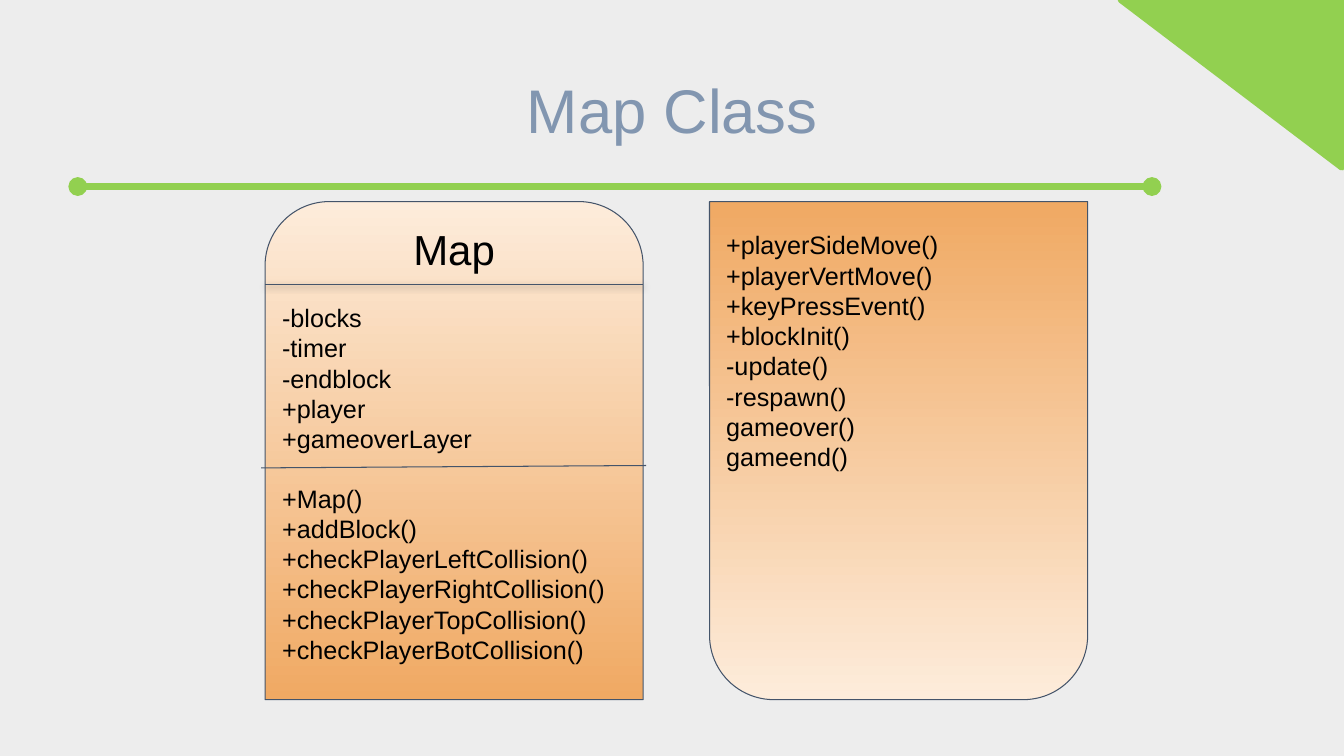
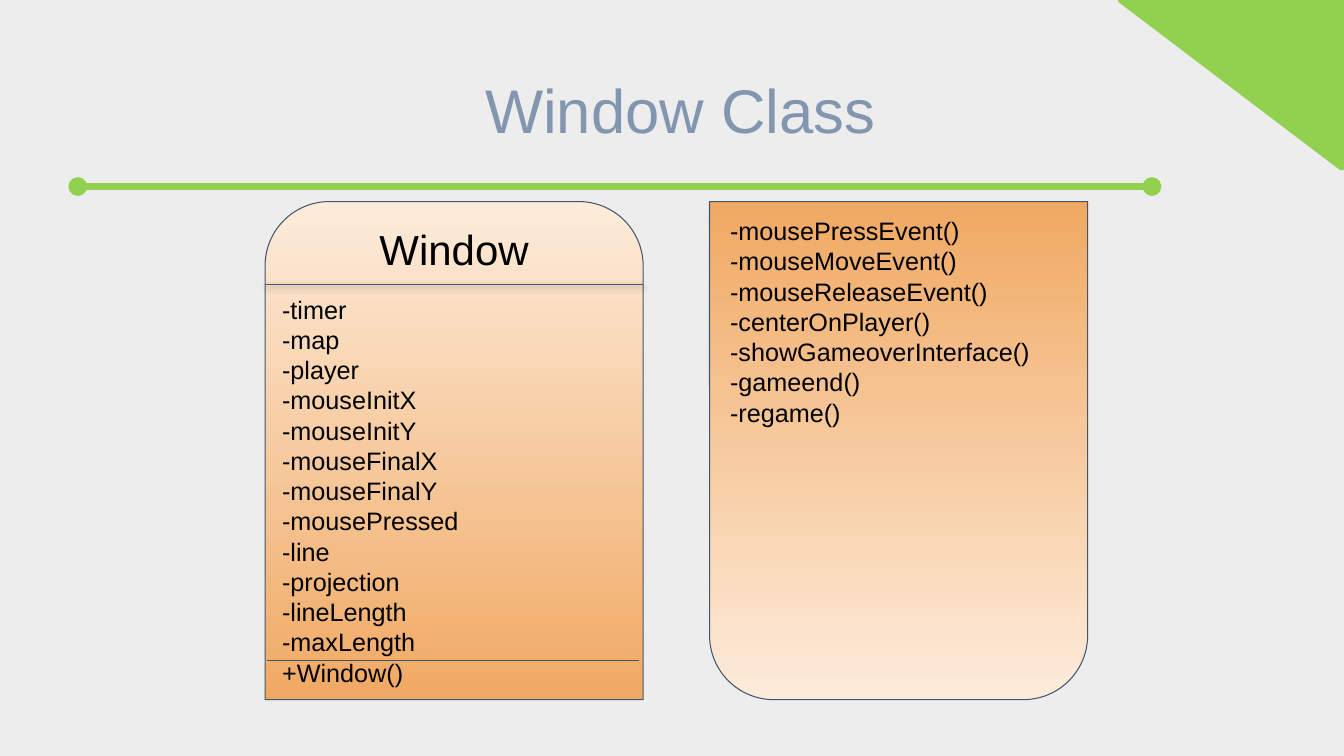
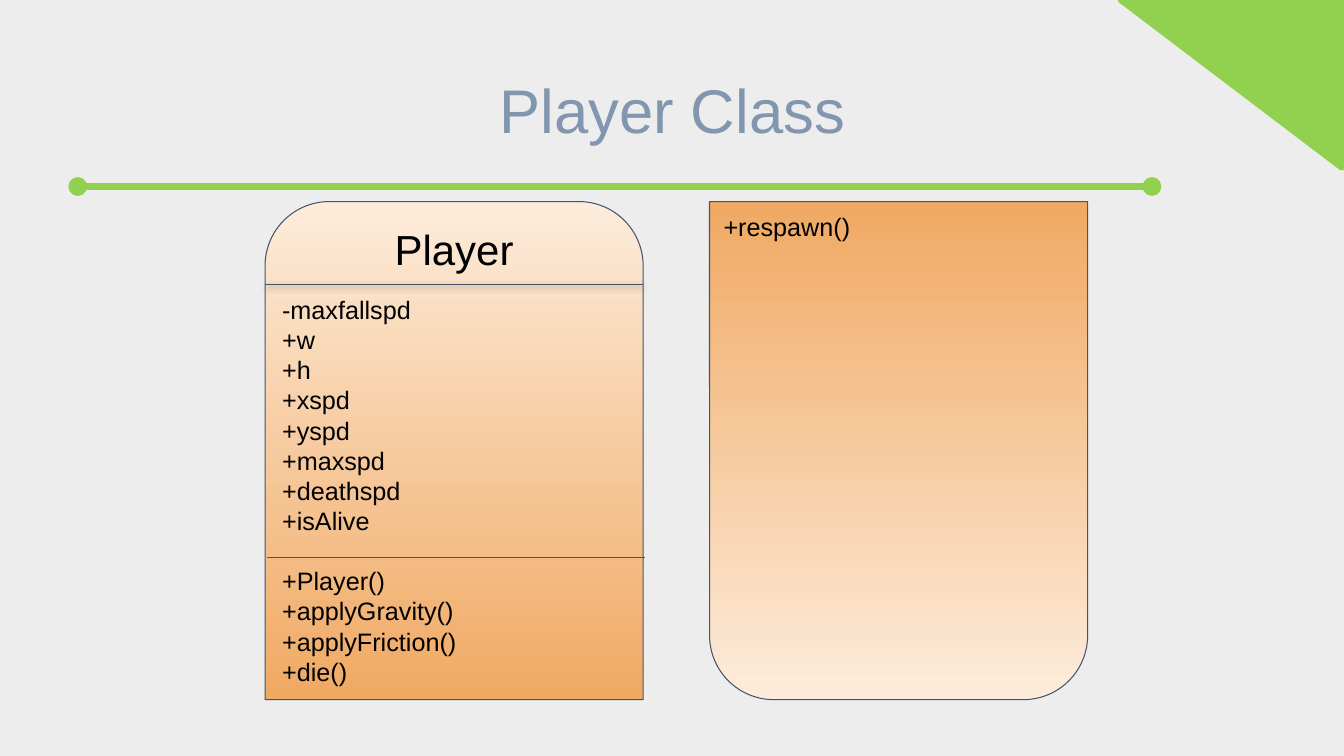
from dataclasses import dataclass

from lxml import etree
from pptx import Presentation
from pptx.dml.color import RGBColor
from pptx.enum.shapes import MSO_CONNECTOR, MSO_SHAPE
from pptx.enum.text import MSO_ANCHOR, PP_ALIGN
from pptx.oxml import parse_xml
from pptx.oxml.ns import nsdecls, qn
from pptx.util import Cm, Pt

STRAIGHT = MSO_CONNECTOR.STRAIGHT
TRIANGLE = MSO_SHAPE.ISOSCELES_TRIANGLE
ROUNDED_TOP = MSO_SHAPE.ROUND_2_SAME_RECTANGLE
TOP, MIDDLE = MSO_ANCHOR.TOP, MSO_ANCHOR.MIDDLE
LEFT, CENTER = PP_ALIGN.LEFT, PP_ALIGN.CENTER

PAGE_WIDTH, PAGE_HEIGHT = 33.87, 19.05
PANEL_TOP, PANEL_WIDTH, PANEL_HEIGHT = 5.08, 9.53, 12.55
MEMBERS_LEFT, METHODS_LEFT = 6.68, 17.88
HEADER_LINE = 7.16
MARGIN = 0.25
LINE_GAP = 21


@dataclass(frozen=True)
class Theme:
    font: str = "Arial"
    background: str = "EDEDED"
    accent: str = "92D050"
    title: str = "8296B0"
    text: str = "000000"
    outline: str = "44546A"
    panel_light: str = "FDECDB"
    panel_dark: str = "F0A963"
    title_size: float = 44
    name_size: float = 30
    body_size: float = 18
    thick: float = 4.5
    thin: float = 0.75


@dataclass(frozen=True)
class ClassCard:
    title: str
    name: str
    groups: list
    methods: list
    members_top: float
    methods_top: float
    methods_width: float
    divider: tuple
    title_shift: float = 0


CARDS = [
    ClassCard(
        "Map Class", "Map",
        [["-blocks", "-timer", "-endblock", "+player", "+gameoverLayer"],
         ["+Map()", "+addBlock()", "+checkPlayerLeftCollision()",
          "+checkPlayerRightCollision()", "+checkPlayerTopCollision()",
          "+checkPlayerBotCollision()"]],
        ["+playerSideMove()", "+playerVertMove()", "+keyPressEvent()",
         "+blockInit()", "-update()", "-respawn()", "gameover()", "gameend()"],
        7.37, 5.54, 9.19, (6.58, 11.79, 16.28, 11.73)),
    ClassCard(
        "Window Class", "Window",
        [["-timer", "-map", "-player", "-mouseInitX", "-mouseInitY",
          "-mouseFinalX", "-mouseFinalY", "-mousePressed", "-line",
          "-projection", "-lineLength", "-maxLength", "+Window()"]],
        ["-mousePressEvent()", "-mouseMoveEvent()", "-mouseReleaseEvent()",
         "-centerOnPlayer()", "-showGameoverInterface()", "-gameend()",
         "-regame()"],
        7.16, 5.18, 8.99, (6.73, 16.64, 16.1, 16.64), 0.2),
    ClassCard(
        "Player Class", "Player",
        [["-maxfallspd", "+w", "+h", "+xspd", "+yspd", "+maxspd",
          "+deathspd", "+isAlive"],
         ["+Player()", "+applyGravity()", "+applyFriction()", "+die()"]],
        ["+respawn()"],
        7.16, 5.08, 9.32, (6.73, 14.05, 16.26, 14.05)),
]


class ClassDeck:
    def __init__(self, theme):
        self.theme = theme
        self.deck = Presentation()
        self.deck.slide_width = Cm(PAGE_WIDTH)
        self.deck.slide_height = Cm(PAGE_HEIGHT)
        self.page = None

    def add_page(self, title, shift):
        theme = self.theme
        self.page = self.deck.slides.add_slide(self.deck.slide_layouts[6])
        fill = self.page.background.fill
        fill.solid()
        fill.fore_color.rgb = RGBColor.from_string(theme.background)
        self.text((2.34 + shift, 1.02, 29.21, 3.68), [[title]], theme.title_size,
                  theme.title, CENTER, MIDDLE, 0.9)
        rule = self.line((1.96, 4.7, 29.03, 4.7), theme.accent, theme.thick)
        outline = rule.line._get_or_add_ln()
        for end in ("a:headEnd", "a:tailEnd"):
            etree.SubElement(outline, qn(end), type="oval")
        self.corner()

    def shape(self, kind, place, color, width, adjustment):
        shape = self.page.shapes.add_shape(kind, *map(Cm, place))
        shape.shadow.inherit = False
        shape.adjustments[0] = adjustment
        shape.line.color.rgb = RGBColor.from_string(color)
        shape.line.width = Pt(width)
        return shape

    def corner(self):
        theme = self.theme
        corner = self.shape(TRIANGLE, (28.25, 0, 5.62, 4.22),
                            theme.accent, theme.thick, 0.01)
        corner.rotation = 180
        corner.fill.solid()
        corner.fill.fore_color.rgb = RGBColor.from_string(theme.accent)

    def panel(self, left, rotation=0):
        theme = self.theme
        panel = self.shape(ROUNDED_TOP, (left, PANEL_TOP, PANEL_WIDTH, PANEL_HEIGHT),
                           theme.outline, theme.thin, 0.17)
        panel.rotation = rotation
        panel.fill.gradient()
        panel.fill.gradient_angle = 270
        colors = (theme.panel_light, theme.panel_dark)
        for position, (stop, color) in enumerate(zip(panel.fill.gradient_stops, colors)):
            stop.position = position
            stop.color.rgb = RGBColor.from_string(color)

    def line(self, ends, color, width, shadow=""):
        line = self.page.shapes.add_connector(STRAIGHT, *map(Cm, ends))
        line.line.color.rgb = RGBColor.from_string(color)
        line.line.width = Pt(width)
        effects = f'<a:effectLst {nsdecls("a")}>{shadow}</a:effectLst>'
        line._element.spPr.append(parse_xml(effects))
        return line

    def header_line(self):
        theme = self.theme
        shadow = (f'<a:outerShdw blurRad="{Pt(4.5)}" dist="{Pt(1.5)}" dir="5400000">'
                  '<a:srgbClr val="000000"><a:alpha val="50000"/></a:srgbClr>'
                  '</a:outerShdw>')
        self.line((MEMBERS_LEFT, HEADER_LINE, MEMBERS_LEFT + PANEL_WIDTH, HEADER_LINE),
                  theme.outline, theme.thin, shadow)

    def text(self, place, groups, size, color, align=LEFT, anchor=TOP, spacing=None):
        box = self.page.shapes.add_textbox(*map(Cm, place))
        frame = box.text_frame
        frame.word_wrap = True
        frame.vertical_anchor = anchor
        frame.margin_left = frame.margin_right = Cm(MARGIN)
        frame.margin_top = frame.margin_bottom = Cm(MARGIN)
        frame.text = "\n".join(entry for group in groups for entry in group)
        for para in frame.paragraphs:
            para.alignment = align
            para.line_spacing = spacing
            para.font.name = self.theme.font
            para.font.size = Pt(size)
            para.font.color.rgb = RGBColor.from_string(color)
        first = 0
        for group in groups[:-1]:
            first += len(group)
            frame.paragraphs[first].space_before = Pt(LINE_GAP)

    def class_page(self, card):
        theme = self.theme
        self.add_page(card.title, card.title_shift)
        self.panel(MEMBERS_LEFT)
        self.header_line()
        self.panel(METHODS_LEFT, 180)
        self.text((6.86, card.members_top, 9.19, 10.2), card.groups,
                  theme.body_size, theme.text)
        self.text((8.74, 5.38, 5.41, 1.5), [[card.name]],
                  theme.name_size, theme.text, CENTER)
        methods_left = METHODS_LEFT + (PANEL_WIDTH - card.methods_width) / 2
        self.text((methods_left, card.methods_top, card.methods_width, 11.2),
                  [card.methods], theme.body_size, theme.text)
        self.line(card.divider, theme.outline, theme.thin)


def main():
    builder = ClassDeck(Theme())
    for card in CARDS:
        builder.class_page(card)
    builder.deck.save("out.pptx")


if __name__ == "__main__":
    main()
